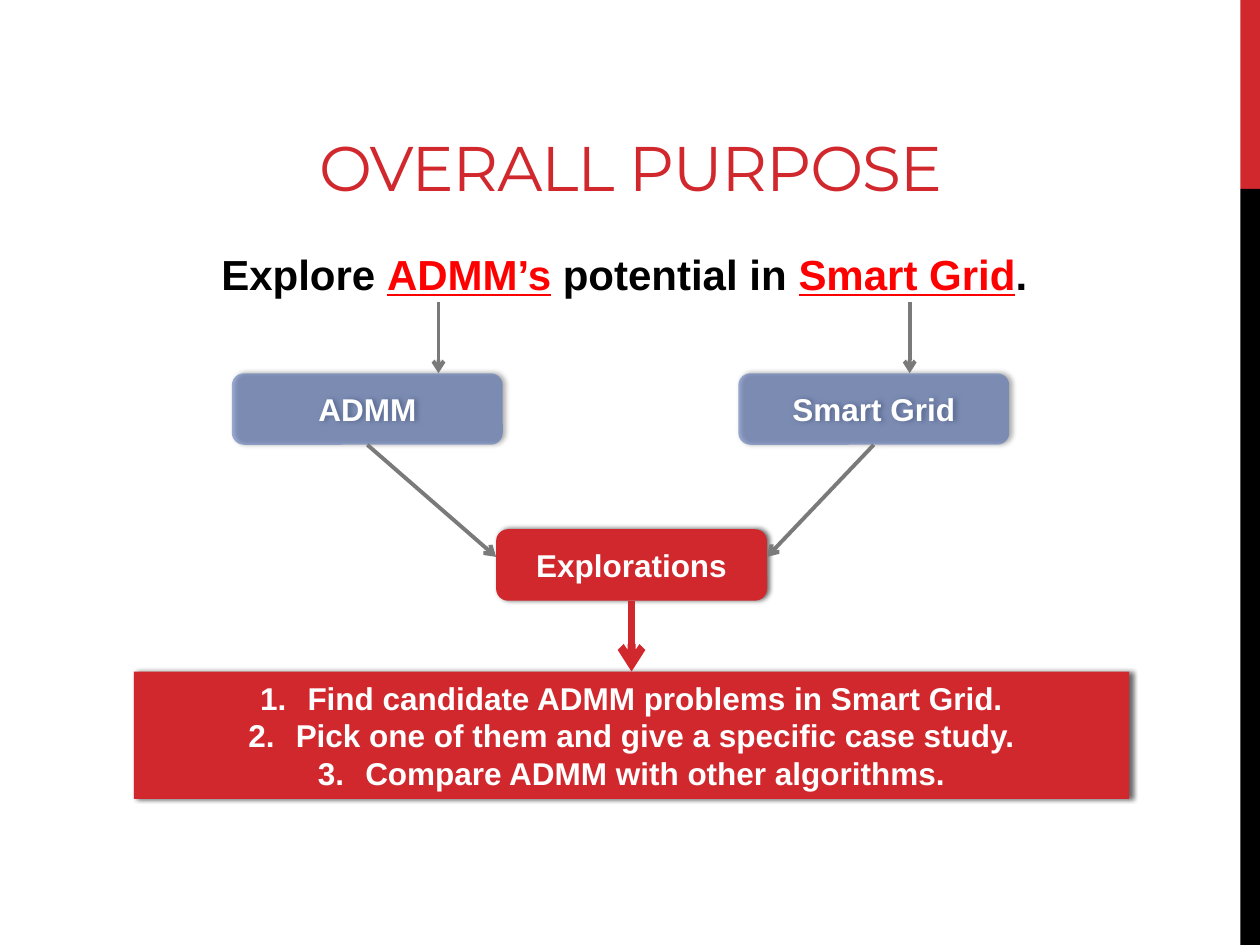
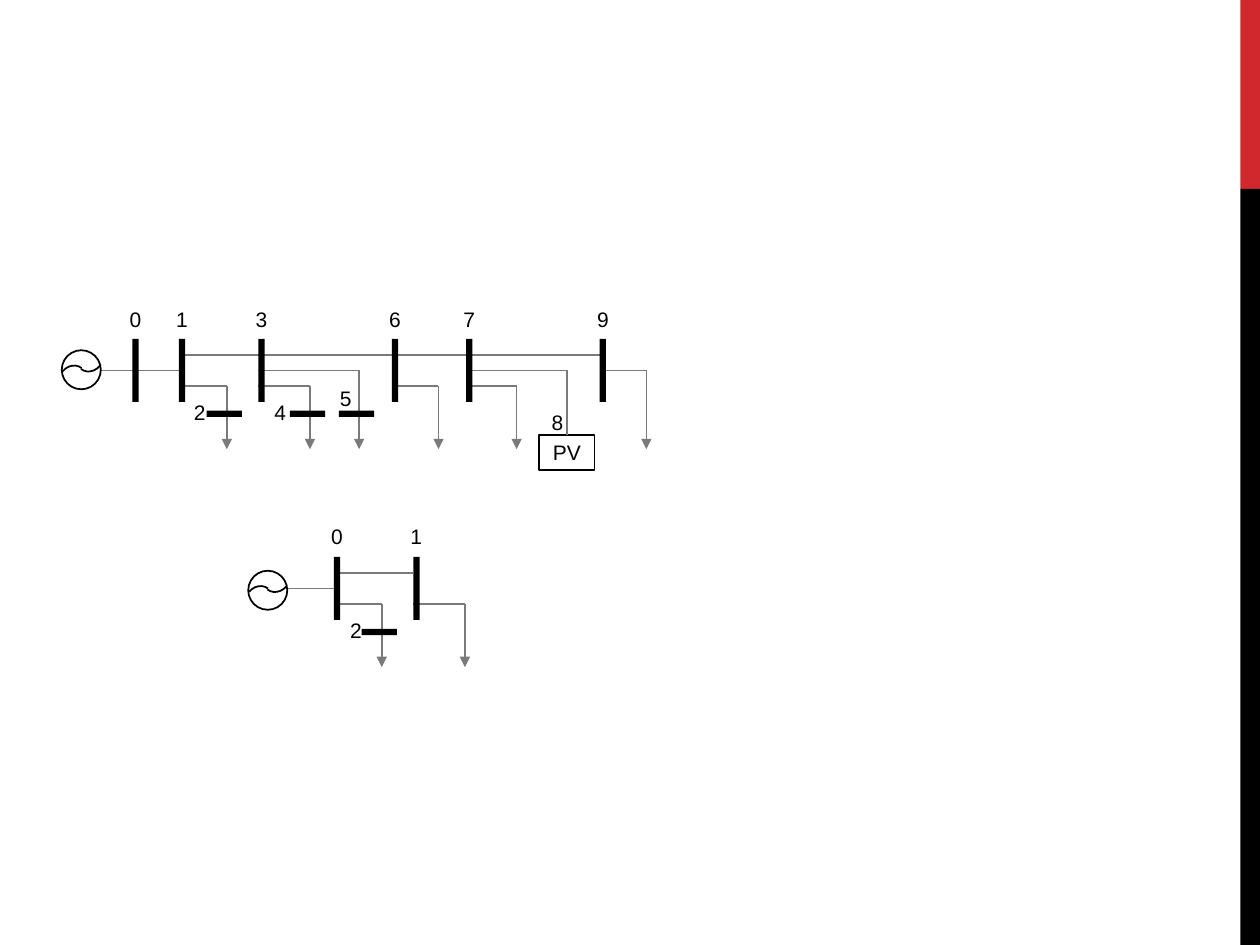
from lxml.etree import SubElement
from pptx import Presentation
from pptx.dml.color import RGBColor
from pptx.enum.shapes import MSO_CONNECTOR, MSO_SHAPE
from pptx.enum.text import MSO_ANCHOR, MSO_AUTO_SIZE, PP_ALIGN
from pptx.oxml.ns import qn
from pptx.util import Inches, Pt

RED, BLUE, GRAY = "D1282E", "4D6BB5", "7A7A7A"
BLACK, WHITE, BRIGHT_RED = "000000", "FFFFFF", "FF0000"
color = RGBColor.from_string

presentation = Presentation()
presentation.slide_width, presentation.slide_height = Inches(10), Inches(7.5)
# All lengths are in square cells: 80 columns by 60 rows
CELL = presentation.slide_width // 80


def add_box(shapes, kind, left, top, width, height, fill=None, line=None,
            lines=(), size=18, text_color=WHITE, bold=True, shadow=False):
    shape = shapes.add_shape(kind, *[round(n * CELL) for n in (left, top, width, height)])
    shape.shadow.inherit = False
    if fill:
        shape.fill.solid()
        shape.fill.fore_color.rgb = color(fill)
    else:
        shape.fill.background()
    if line:
        shape.line.color.rgb = color(line)
        shape.line.width = Pt(1)
    else:
        shape.line.fill.background()
    if shadow:
        effects = shape._element.spPr.find(qn("a:effectLst"))
        outer = SubElement(effects, qn("a:outerShdw"), blurRad=str(Pt(3)),
                           dist=str(Pt(1.5)), dir="0", rotWithShape="0")
        black = SubElement(outer, qn("a:srgbClr"), val=BLACK)
        SubElement(black, qn("a:alpha"), val="60000")
    frame = shape.text_frame
    frame.vertical_anchor = MSO_ANCHOR.MIDDLE
    for index, text in enumerate(lines):
        paragraph = frame.add_paragraph() if index else frame.paragraphs[0]
        paragraph.alignment = PP_ALIGN.CENTER
        run = paragraph.add_run()
        run.text = text
        run.font.name, run.font.size, run.font.bold = "Arial", Pt(size), bold
        run.font.color.rgb = color(text_color)
    return shape


def add_line(shapes, x1, y1, x2, y2, line=GRAY, width=1, arrow=None):
    connector = shapes.add_connector(
        MSO_CONNECTOR.STRAIGHT, *[round(n * CELL) for n in (x1, y1, x2, y2)])
    connector.line.color.rgb = color(line)
    connector.line.width = Pt(width)
    properties = connector._element.spPr
    if arrow:
        SubElement(properties.find(qn("a:ln")), qn("a:tailEnd"), type=arrow)
    SubElement(properties, qn("a:effectLst"))
    return connector


purpose_slide = presentation.slides.add_slide(presentation.slide_layouts[1])
circuit_slide = presentation.slides.add_slide(presentation.slide_layouts[6])

# Side bands, moved to the master so that both slides share them
for top, height, fill in ((0, 12, RED), (12, 48, BLACK)):
    band = add_box(purpose_slide.shapes, MSO_SHAPE.RECTANGLE, 78.75, top, 1.25, height, fill)
    presentation.slide_master.shapes.element.append(band._element)

# Slide 1: title and opening sentence
title, body = purpose_slide.placeholders
for placeholder, place in ((title, (14.72, 1.36, 50.64, 12)), (body, (4, 15.36, 71.28, 38.24))):
    placeholder.left, placeholder.top, placeholder.width, placeholder.height = [
        round(n * CELL) for n in place]
    placeholder.text_frame.auto_size = MSO_AUTO_SIZE.NONE
    placeholder.text_frame.paragraphs[0].alignment = PP_ALIGN.CENTER

title.text_frame.vertical_anchor = MSO_ANCHOR.BOTTOM
run = title.text_frame.paragraphs[0].add_run()
run.text = "OVERALL PURPOSE"
run.font.name, run.font.size = "Montserrat", Pt(36)
run.font.color.rgb = color(RED)
run._r.get_or_add_rPr().set("spc", "-60")

body.text_frame.vertical_anchor = MSO_ANCHOR.TOP
sentence = body.text_frame.paragraphs[0]
sentence.space_before, sentence.space_after = Pt(4.8), Pt(6)
settings = sentence._p.get_or_add_pPr()
settings.set("marL", "0")
settings.set("indent", "0")
SubElement(settings, qn("a:buNone"))
for text, is_topic in (("Explore ", False), ("ADMM’s", True), (" potential in ", False),
                       ("Smart Grid", True), (".", False)):
    run = sentence.add_run()
    run.text = text
    run.font.name, run.font.size, run.font.bold = "Arial", Pt(24), True
    run.font.underline = is_topic
    run.font.color.rgb = color(BRIGHT_RED if is_topic else BLACK)

# Explorations and its outcomes
shapes = purpose_slide.shapes
explorations = add_box(shapes, MSO_SHAPE.ROUNDED_RECTANGLE, 31.5, 33.6, 17.2, 4.54, RED,
                       lines=["Explorations"], shadow=True)
outcomes = add_box(shapes, MSO_SHAPE.RECTANGLE, 8.5, 42.64, 63.2, 8.08, RED, lines=[
    "Find candidate ADMM problems in Smart Grid.",
    "Pick one of them and give a specific case study.",
    "Compare ADMM with other algorithms."], shadow=True)
for paragraph in outcomes.text_frame.paragraphs:
    settings = paragraph._p.get_or_add_pPr()
    settings.set("marL", str(3 * CELL))
    settings.set("indent", str(-3 * CELL))
    SubElement(settings, qn("a:buAutoNum"), type="arabicPeriod")
result_arrow = add_line(shapes, 40.1, 38.14, 40.1, 42.64, RED, 4.5, "arrow")
result_arrow.begin_connect(explorations, 2)
result_arrow.end_connect(outcomes, 0)

# The two topics, each with an arrow from its word and one to Explorations
for topic, left, word_x, target_x in (("ADMM", 14.72, 27.84, 31.5),
                                      ("Smart Grid", 46.88, 57.76, 48.7)):
    box = add_box(shapes, MSO_SHAPE.ROUNDED_RECTANGLE, left, 23.7, 17.2, 4.54, BLUE,
                  lines=[topic], shadow=True)
    fill_color = box._element.spPr.find(qn("a:solidFill")).find(qn("a:srgbClr"))
    SubElement(fill_color, qn("a:alpha"), val="53000")
    add_line(shapes, word_x, 19.2, word_x, 23.7, width=2.25, arrow="arrow")
    arrow = add_line(shapes, left + 8.6, 28.24, target_x, 35.36, width=2.25, arrow="arrow")
    arrow.begin_connect(box, 2)

# Slide 2: two feeder circuits, with rows counted from the top of the buses
# buses: label, x; wires: from bus, to bus, row
# drops: from bus, x, row, ending, label, label shift, label row
circuits = [
    {"top": 21.52, "source": (3.92, 0.72), "first_bus": "0",
     "buses": {"0": 8.4, "1": 11.36, "3": 16.4, "6": 24.88, "7": 29.6, "9": 38.08},
     "wires": [("0", "1", 2), ("1", "3", 1), ("3", "6", 1), ("6", "7", 1), ("7", "9", 1)],
     "drops": [("1", 14.4, 3, "bus", "2", -2.88, 3.44), ("3", 19.68, 3, "bus", "4", -3.04, 3.44),
               ("3", 22.8, 2, "bus", "5", -2, 2.56), ("6", 27.84, 3, "load", "", 0, 0),
               ("7", 32.8, 3, "load", "", 0, 0), ("7", 36, 2, "PV", "8", -1.76, 4.08),
               ("9", 41.04, 2, "load", "", 0, 0)]},
    {"top": 35.36, "source": (15.76, 0.88), "first_bus": "0",
     "buses": {"0": 21.2, "1": 26.24},
     "wires": [("0", "1", 1)],
     "drops": [("0", 24.24, 3, "bus", "2", -2.8, 3.44), ("1", 29.52, 3, "load", "", 0, 0)]},
]

for circuit in circuits:
    shapes = circuit_slide.shapes.add_group_shape().shapes
    top, buses = circuit["top"], circuit["buses"]
    labels = [(name, x - 0.96, top - 2.48) for name, x in buses.items()]

    # Source: a circle with a wave made of two arcs
    source_x, source_y = circuit["source"][0], top + circuit["source"][1]
    add_line(shapes, source_x + 2.48, top + 2, buses[circuit["first_bus"]], top + 2)
    add_box(shapes, MSO_SHAPE.OVAL, source_x, source_y, 2.48, 2.48, line=BLACK)
    for shift_x, shift_y, angle in ((-0.24, 1.04, 309.4), (0.88, -0.32, 129.4)):
        arc = add_box(shapes, MSO_SHAPE.ARC, source_x + shift_x, source_y + shift_y,
                      1.84, 1.6, line=BLACK)
        arc.rotation = angle

    # Wires between buses, and drops to loads
    for start, end, row in circuit["wires"]:
        add_line(shapes, buses[start], top + row, buses[end], top + row)
    for start, x, row, ending, name, shift, label_row in circuit["drops"]:
        add_line(shapes, buses[start], top + row, x, top + row)
        if ending == "PV":
            panel = add_box(shapes, MSO_SHAPE.RECTANGLE, x - 1.76, top + 6.08, 3.52, 2.24,
                            line=BLACK, lines=["PV"], size=12, text_color=BLACK, bold=False)
            drop = add_line(shapes, x, top + row, x, top + 6.08)
            drop.end_connect(panel, 0)
        else:
            add_line(shapes, x, top + row, x, top + 7, arrow="triangle")
        if ending == "bus":
            add_box(shapes, MSO_SHAPE.RECTANGLE, x - 1.28, top + 4.56, 2.24, 0.4, BLACK)
        if name:
            labels.append((name, x + shift, top + label_row))

    # Buses and their numbers
    for x in buses.values():
        add_box(shapes, MSO_SHAPE.RECTANGLE, x, top, 0.4, 4, BLACK)
    for name, x, y in labels:
        label = shapes.add_textbox(*[round(n * CELL) for n in (x, y, 2.4, 2.4)])
        label.text_frame.word_wrap = False
        label.text_frame.auto_size = MSO_AUTO_SIZE.SHAPE_TO_FIT_TEXT
        run = label.text_frame.paragraphs[0].add_run()
        run.text = name
        run.font.name, run.font.size = "Arial", Pt(12)
        run.font.color.rgb = color(BLACK)

presentation.save("out.pptx")
